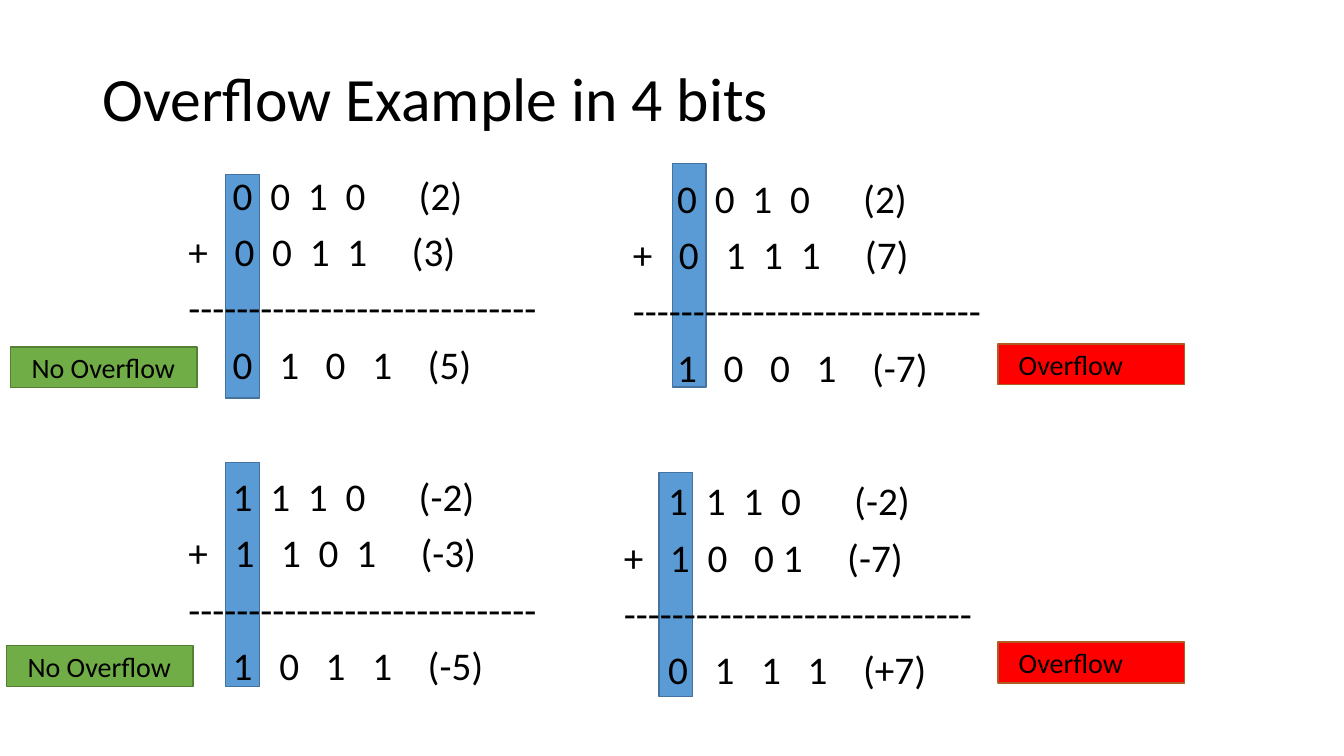
from lxml.etree import SubElement
from pptx import Presentation
from pptx.dml.color import RGBColor
from pptx.enum.shapes import MSO_SHAPE
from pptx.enum.text import MSO_ANCHOR, MSO_AUTO_SIZE, PP_ALIGN
from pptx.oxml.ns import qn
from pptx.util import Inches, Pt

deck = Presentation()
deck.slide_width, deck.slide_height = Inches(13.33), Inches(7.5)
col, row = deck.slide_width / 100, deck.slide_height / 100
slide = deck.slides.add_slide(deck.slide_layouts[5])


def style(part, size):
    part.alignment = PP_ALIGN.LEFT
    for run in part.runs:
        run.font.name, run.font.size = "Calibri", Pt(size)
        run.font.color.rgb = RGBColor.from_string("000000")


def block(x, y, wide, high, fill, line):
    box = slide.shapes.add_shape(
        MSO_SHAPE.RECTANGLE, int(x * col), int(y * row), int(wide * col), int(high * row))
    box.shadow.inherit = False
    box.fill.solid()
    box.fill.fore_color.rgb = RGBColor.from_string(fill)
    box.line.color.rgb = RGBColor.from_string(line)
    box.line.width = Pt(1)
    return box


title = slide.shapes.title
title.left, title.top = int(6.9 * col), int(5.33 * row)
title.width, title.height = int(86.25 * col), int(16.27 * row)
title.text_frame.text = "Overflow Example in 4 bits"
title.text_frame.auto_size = MSO_AUTO_SIZE.NONE
title.text_frame.vertical_anchor = MSO_ANCHOR.MIDDLE
title.text_frame.paragraphs[0].line_spacing = 0.9
style(title.text_frame.paragraphs[0], 44)

digit, space = 1.48, 0.66
first = (5, 2, 2, 2, 6)
total = (5, 3, 3, 3, 4)
even = (5.2, 2, 2, 2, 5)
late = (5.2, 3, 2, 2, 5)
split = (5.2, 2, 3, 1, 5)

sums = [
    ((13.28, 22.67), (16.8, 23.07), even, "0 0 1 0 (2)", "0 0 1 1 (3)", "0 1 0 1 (5)"),
    ((46.35, 23.07), (50.03, 21.6), late, "0 0 1 0 (2)", "0 1 1 1 (7)", "1 0 0 1 (-7)"),
    ((13.28, 62.53), (16.8, 61.2), late, "1 1 1 0 (-2)", "1 1 0 1 (-3)", "1 0 1 1 (-5)"),
    ((45.68, 63.07), (49.05, 62.53), split, "1 1 1 0 (-2)", "1 0 0 1 (-7)", "0 1 1 1 (+7)"),
]
for (x, y), bar, gaps, top, add, end in sums:
    block(*bar, 2.5, 29.6, "5B9BD5", "43739E")
    box = slide.shapes.add_textbox(
        int(x * col), int(y * row), int(28.35 * col), int(35.87 * row))
    frame = box.text_frame
    frame.word_wrap = True
    lines = [" " + top, "+ " + add, "-" * 29, " " + end]
    frame.text = "\n".join(lines).replace(" ", "\t")
    for part, steps in zip(frame.paragraphs, (first, gaps, (), total)):
        part.line_spacing, part.space_before = 0.9, Pt(10)
        style(part, 28)
        if steps:
            tabs = SubElement(part._p.get_or_add_pPr(), qn("a:tabLst"))
            stop = 0
            for step in steps:
                stop += step * space
                SubElement(tabs, qn("a:tab"), pos=str(int(stop * col)), algn="l")
                stop += digit

green, red = ("70AD47", "538035"), ("FF0000", "AF5C24")
tags = [
    (0.8, 45.9, "No Overflow", green),
    (74.25, 45.5, "Overflow", red),
    (0.5, 85.4, "No Overflow", green),
    (74.25, 84.93, "Overflow", red),
]
for x, y, word, paint in tags:
    frame = block(x, y, 13.87, 5.4, *paint).text_frame
    frame.text = word
    frame.word_wrap = False
    frame.vertical_anchor = MSO_ANCHOR.MIDDLE
    frame.margin_left = int(1.55 * col)
    frame.margin_top = frame.margin_bottom = 0
    style(frame.paragraphs[0], 20)

deck.save("out.pptx")
